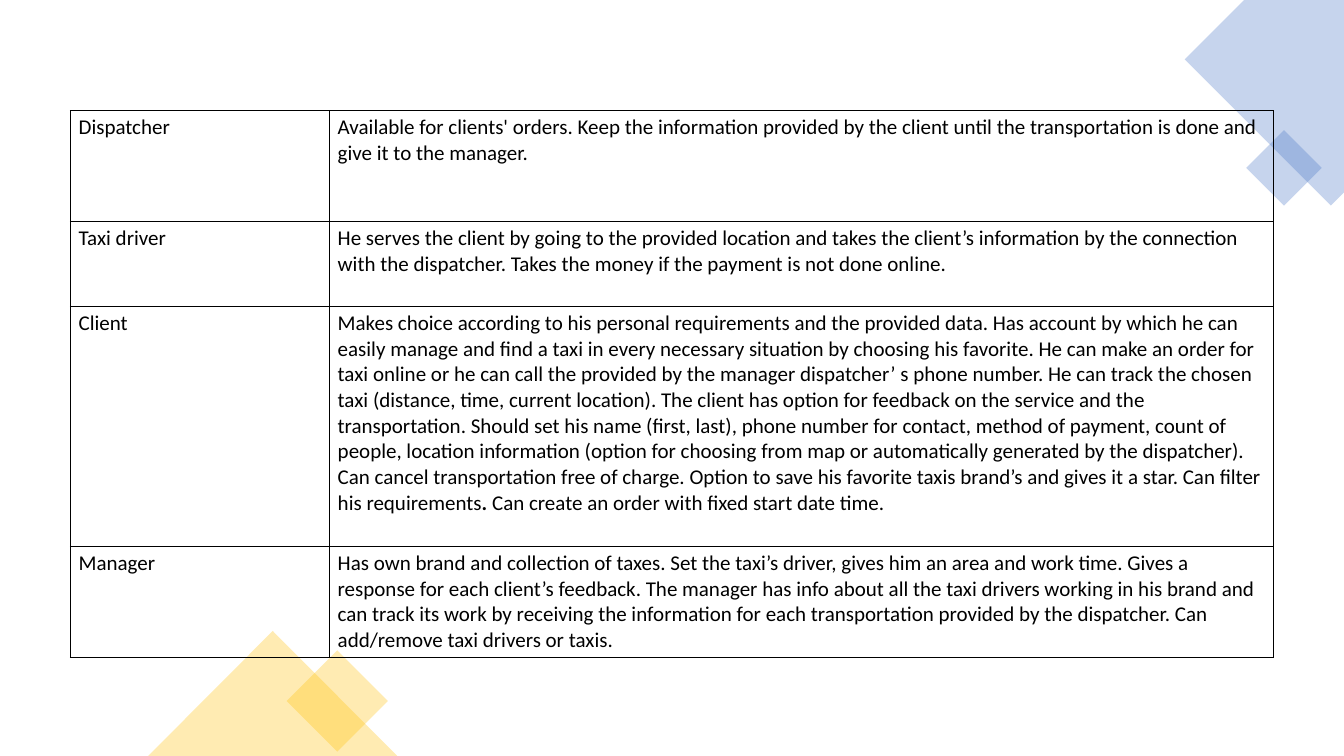
from dataclasses import dataclass

from lxml import etree
from pptx import Presentation
from pptx.dml.color import RGBColor
from pptx.enum.shapes import MSO_SHAPE
from pptx.enum.text import MSO_ANCHOR, PP_ALIGN
from pptx.oxml.ns import qn
from pptx.util import Inches, Pt

RECTANGLE = MSO_SHAPE.RECTANGLE
TRIANGLE = MSO_SHAPE.ISOSCELES_TRIANGLE
LEFT = PP_ALIGN.LEFT
TOP = MSO_ANCHOR.TOP
BLANK_LAYOUT = 6


@dataclass(frozen=True)
class Theme:
    font: str = "Calibri"
    body_size: float = 15
    text: str = "000000"
    border: str = "000000"
    border_width: float = 1
    blue: str = "4472C4"
    yellow: str = "FFC000"
    opacity: int = 30


THEME = Theme()

# Each role has a list of (text, bold) runs
ROLES = [
    ("Dispatcher", [(
        "Available for clients' orders. Keep the information provided by the client until the "
        "transportation is done and give it to the manager.", False)]),
    ("Taxi driver", [(
        "He serves the client by going to the provided location and takes the client’s "
        "information by the connection with the dispatcher. Takes the money if the payment is "
        "not done online.", False)]),
    ("Client", [
        ("Makes choice according to his personal requirements and the provided data. Has account "
         "by which he can easily manage and find a taxi in every necessary situation by choosing "
         "his favorite. He can make an order for taxi online or he can call the provided by the "
         "manager dispatcher’ s phone number. He can track the chosen taxi (distance, time, "
         "current location). The client has option for feedback on the service and the "
         "transportation. Should set his name (first, last), phone number for contact, method of "
         "payment, count of people, location information (option for choosing from map or "
         "automatically generated by the dispatcher). Can cancel transportation free of charge. "
         "Option to save his favorite taxis brand’s and gives it a star. Can filter his "
         "requirements", False),
        (". ", True),
        ("Can create an order with fixed start date time.", False)]),
    ("Manager", [(
        "Has own brand and collection of taxes. Set the taxi’s driver, gives him an area and "
        "work time. Gives a response for each client’s feedback. The manager has info about all "
        "the taxi drivers working in his brand and can track its work by receiving the "
        "information for each transportation provided by the dispatcher. Can add/remove taxi "
        "drivers or taxis.", False)]),
]
COLUMN_WIDTHS = [2.57, 9.36]
ROW_HEIGHTS = [1.1, 0.84, 2.38, 1.1]


def add_text(paragraph, text, size=THEME.body_size, color=THEME.text, bold=False):
    run = paragraph.add_run()
    run.text = text
    run.font.name = THEME.font
    run.font.size = Pt(size)
    run.font.bold = bold
    run.font.color.rgb = RGBColor.from_string(color)


class SlideBuilder:
    def __init__(self, slide, theme):
        self.slide = slide
        self.theme = theme

    def paint(self, shape, color):
        """Give a shape a translucent fill without line or shadow."""
        shape.shadow.inherit = False
        shape.line.fill.background()
        shape.fill.solid()
        shape.fill.fore_color.rgb = RGBColor.from_string(color)
        color_element = shape.fill._xPr.find(".//" + qn("a:srgbClr"))
        alpha = etree.SubElement(color_element, qn("a:alpha"))
        alpha.set("val", str(self.theme.opacity * 1000))

    def add_shape(self, kind, left, top, width, height, color, rotation=0):
        shape = self.slide.shapes.add_shape(
            kind, Inches(left), Inches(top), Inches(width), Inches(height))
        shape.rotation = rotation
        self.paint(shape, color)

    def add_polygon(self, points, color):
        corners = [(Inches(x), Inches(y)) for x, y in points]
        builder = self.slide.shapes.build_freeform(*corners[0])
        builder.add_line_segments(corners[1:], close=True)
        self.paint(builder.convert_to_shape(), color)

    def add_table(self, left, top, widths, heights, rows):
        table = self.slide.shapes.add_table(
            len(rows), len(widths), Inches(left), Inches(top),
            Inches(sum(widths)), Inches(sum(heights))).table
        table.first_row = table.horz_banding = False
        for column, width in zip(table.columns, widths):
            column.width = Inches(width)
        for row, height, (role, duties) in zip(table.rows, heights, rows):
            row.height = Inches(height)
            for cell, runs in zip(row.cells, ([(role, False)], duties)):
                self.fill_cell(cell, runs)

    def fill_cell(self, cell, runs):
        cell.margin_left = cell.margin_right = Inches(0.08)
        cell.margin_top = cell.margin_bottom = Inches(0.04)
        cell.vertical_anchor = TOP
        paragraph = cell.text_frame.paragraphs[0]
        paragraph.alignment = LEFT
        for text, bold in runs:
            add_text(paragraph, text, bold=bold)
        # Borders come before the fill in the cell properties
        properties = cell._tc.get_or_add_tcPr()
        for side in ("a:lnL", "a:lnR", "a:lnT", "a:lnB"):
            line = etree.SubElement(properties, qn(side))
            line.set("w", str(Pt(self.theme.border_width)))
            fill = etree.SubElement(line, qn("a:solidFill"))
            etree.SubElement(fill, qn("a:srgbClr")).set("val", self.theme.border)
        cell.fill.background()


def main():
    presentation = Presentation()
    presentation.slide_width = Inches(13.33)
    presentation.slide_height = Inches(7.5)
    slide = presentation.slides.add_slide(presentation.slide_layouts[BLANK_LAYOUT])
    builder = SlideBuilder(slide, THEME)

    # Blue corner decoration
    builder.add_polygon(
        [(13.33, 0), (12.34, 0), (11.75, 0.59), (13.2, 2.04), (13.33, 1.91)], THEME.blue)
    builder.add_shape(RECTANGLE, 12.47, 1.4, 0.53, 0.53, THEME.blue, rotation=315)

    # Yellow bottom decoration
    builder.add_shape(RECTANGLE, 2.99, 6.6, 0.71, 0.71, THEME.yellow, rotation=45)
    builder.add_shape(TRIANGLE, 1.47, 6.26, 2.47, 1.24, THEME.yellow)

    # Roles and their duties
    builder.add_table(0.7, 1.1, COLUMN_WIDTHS, ROW_HEIGHTS, ROLES)

    presentation.save("out.pptx")


if __name__ == "__main__":
    main()
